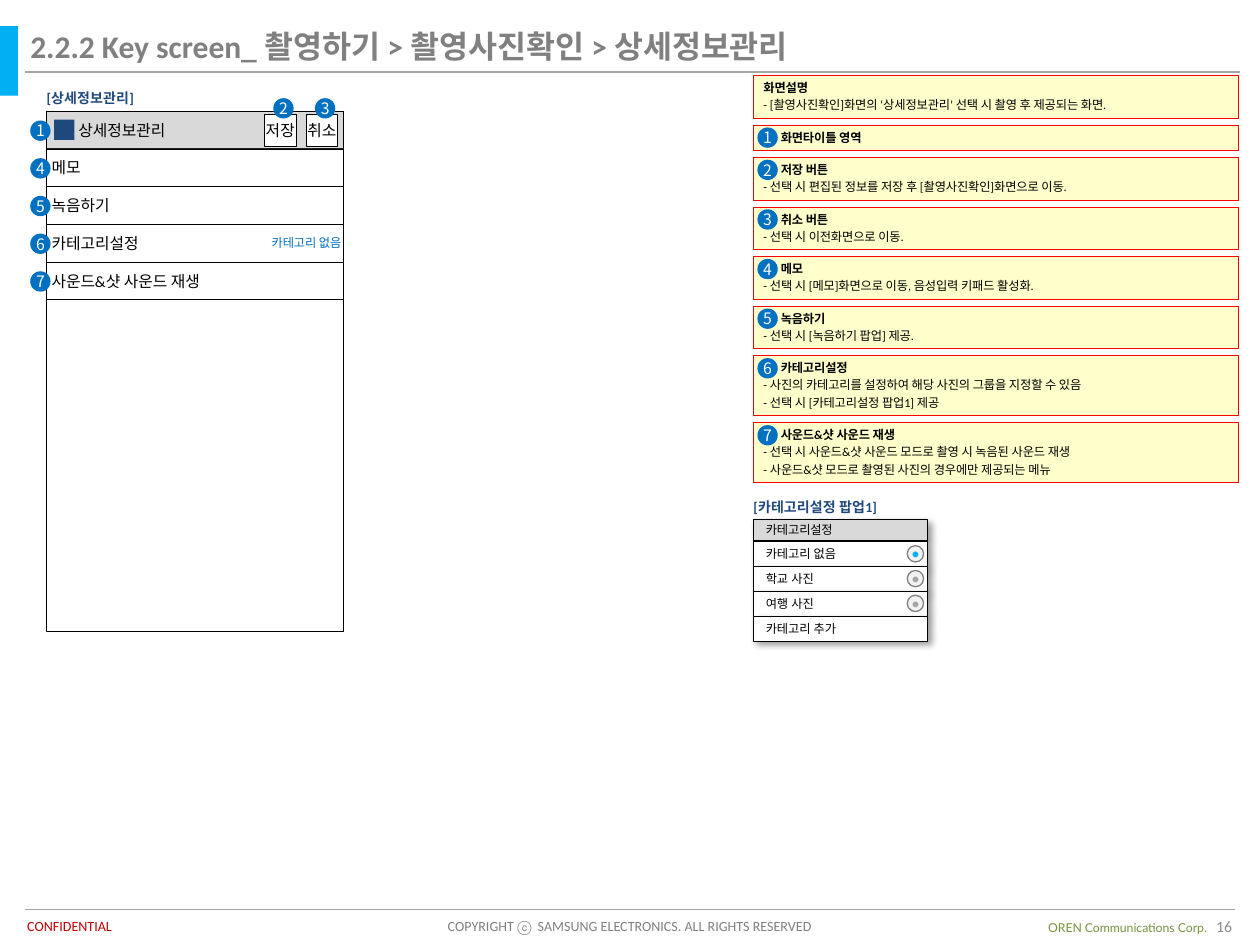
from lxml import etree
from pptx import Presentation
from pptx.dml.color import RGBColor
from pptx.enum.lang import MSO_LANGUAGE_ID
from pptx.enum.shapes import MSO_CONNECTOR, MSO_SHAPE
from pptx.enum.text import MSO_ANCHOR, MSO_AUTO_SIZE, PP_ALIGN
from pptx.oxml import parse_xml
from pptx.oxml.ns import qn
from pptx.util import Cm, Pt

RECT, OVAL = MSO_SHAPE.RECTANGLE, MSO_SHAPE.OVAL
LEFT, CENTER, RIGHT = PP_ALIGN.LEFT, PP_ALIGN.CENTER, PP_ALIGN.RIGHT
TOP, MIDDLE = MSO_ANCHOR.TOP, MSO_ANCHOR.MIDDLE
KOREAN = MSO_LANGUAGE_ID.KOREAN


class Theme:
    black, white, gray, rule = "000000", "FFFFFF", "808080", "A6A6A6"
    navy, blue, sky = "1F497D", "0070C0", "00B0F0"
    header, note, radio = "D9D9D9", "FFFFCC", "F2F2F2"
    red, crimson, green, number = "FF0000", "C00000", "77933C", "8C8C8C"
    font, popup_font, footer_font, badge_font = "Calibri", "Arial", "Lato", "Noto Sans CJK KR"
    title, screen, label, small = 18, 9, 8, 7
    hairline, thin = 0.25, 0.75


SHADOW = (
    '<a:effectLst xmlns:a="http://schemas.openxmlformats.org/drawingml/2006/main">'
    '<a:outerShdw blurRad="50800" dist="38100" dir="2700000" algn="tl" rotWithShape="0">'
    '<a:srgbClr val="000000"><a:alpha val="40000"/></a:srgbClr></a:outerShdw></a:effectLst>'
)


def write(tf, text, size=Theme.small, font=Theme.font, color=Theme.black, bold=False,
          align=LEFT, anchor=TOP, inset=(0, 0, 0, 0), indent=0, before=0, wrap=True, add=False):
    """Write one paragraph; inset is left, top, right, bottom in cm."""
    tf.auto_size = MSO_AUTO_SIZE.NONE
    tf.word_wrap, tf.vertical_anchor = wrap, anchor
    tf.margin_left, tf.margin_top, tf.margin_right, tf.margin_bottom = map(Cm, inset)
    p = tf.add_paragraph() if add else tf.paragraphs[0]
    p.alignment, p.space_before = align, Pt(before)
    if indent:
        p._p.get_or_add_pPr().set("indent", str(Cm(indent)))
    r = p.add_run()
    r.text = text
    r.font.size, r.font.bold, r.font.name = Pt(size), bold, font
    r.font.color.rgb = RGBColor.from_string(color)
    r.font.language_id = KOREAN
    etree.SubElement(r._r.get_or_add_rPr(), qn("a:ea")).set("typeface", font)


def draw(kind, x, y, w, h, fill=None, line=None, width=Theme.hairline):
    """Add a preset shape, measured in cm."""
    sp = s.shapes.add_shape(kind, Cm(x), Cm(y), Cm(w), Cm(h))
    sp.shadow.inherit = False
    if fill:
        sp.fill.solid()
        sp.fill.fore_color.rgb = RGBColor.from_string(fill)
    else:
        sp.fill.background()
    if line:
        sp.line.color.rgb = RGBColor.from_string(line)
        sp.line.width = Pt(width)
    else:
        sp.line.fill.background()
    return sp


prs = Presentation()
prs.slide_width, prs.slide_height = Cm(25.4), Cm(19.05)
s = prs.slides.add_slide(prs.slide_layouts[5])

# Title, accent bar and rules
title = s.shapes.title
title.left, title.top, title.width, title.height = Cm(0.36), Cm(0.41), Cm(24.54), Cm(0.94)
write(title.text_frame, "2.2.2 Key screen_ 촬영하기 > 촬영사진확인 > 상세정보관리",
      size=Theme.title, color=Theme.gray, bold=True, inset=(0.25, 0.13, 0.25, 0.13))
draw(RECT, 0, 0.53, 0.36, 1.4, Theme.sky)
for y, end in ((1.45, 25), (18.34, 24.9)):
    rule = s.shapes.add_connector(MSO_CONNECTOR.STRAIGHT, Cm(0.51), Cm(y), Cm(end), Cm(y))
    rule.line.color.rgb = RGBColor.from_string(Theme.rule)
    rule.line.width = Pt(Theme.thin)
    etree.SubElement(rule._element.spPr, qn("a:effectLst"))

# Footer and section labels
pad = (0.25, 0.13, 0.25, 0.13)
texts = [
    (0.3, 18.36, 2.5, 0.61, "CONFIDENTIAL",
     dict(size=Theme.label, color=Theme.crimson, inset=pad)),
    (6.1, 18.36, 13.2, 0.61, "COPYRIGHT ⓒ  SAMSUNG ELECTRONICS. ALL RIGHTS RESERVED",
     dict(size=Theme.label, color=Theme.gray, align=CENTER, inset=pad)),
    (20.88, 18.42, 3.9, 0.56, "OREN Communications Corp.",
     dict(font=Theme.footer_font, color=Theme.green, anchor=MIDDLE, inset=pad)),
    (23.29, 18.44, 1.8, 0.48, "16",
     dict(size=Theme.screen, color=Theme.number, align=RIGHT, anchor=MIDDLE, inset=pad)),
    (0.94, 1.8, 3, 0.33, "[상세정보관리]",
     dict(size=Theme.label, color=Theme.navy, bold=True)),
    (15.19, 10.06, 4, 0.33, "[카테고리설정 팝업1]",
     dict(size=Theme.label, color=Theme.navy, bold=True)),
]
for x, y, w, h, text, style in texts:
    write(s.shapes.add_textbox(Cm(x), Cm(y), Cm(w), Cm(h)).text_frame, text, **style)

# Phone screen: header and menu rows
badges = []
phone_x, phone_y, phone_w, row_h = 0.94, 2.24, 5.99, 0.76
draw(RECT, phone_x, phone_y, phone_w, 10.49, line=Theme.black)
rows = [(1, "상세정보관리"), (4, "메모"), (5, "녹음하기"), (6, "카테고리설정"),
        (7, "사운드&샷 사운드 재생")]
for i, (number, text) in enumerate(rows):
    y = phone_y + i * row_h
    sp = draw(RECT, phone_x, y, phone_w, row_h, Theme.white if i else Theme.header, Theme.black)
    write(sp.text_frame, text, size=Theme.screen, anchor=MIDDLE,
          inset=(0.1 if i else 0.64, 0, 0.1, 0))
    badges.append((number, 0.61, y + 0.19))
draw(RECT, 1.09, 2.41, 0.41, 0.41, Theme.navy)
for number, x, text in ((2, 5.33, "저장"), (3, 6.17, "취소")):
    sp = draw(RECT, x, 2.31, 0.64, 0.64, Theme.white, Theme.black)
    write(sp.text_frame, text, size=Theme.screen, align=CENTER, anchor=MIDDLE, wrap=False)
    badges.append((number, x + 0.18, 1.98))
category = s.shapes.add_textbox(Cm(4.88), Cm(4.75), Cm(2), Cm(0.3))
write(category.text_frame, "카테고리 없음", color=Theme.blue, align=RIGHT)

# Description notes, stacked with equal gaps
notes = [
    ("화면설명", "- [촬영사진확인]화면의 ‘상세정보관리’ 선택 시 촬영 후 제공되는 화면."),
    ("화면타이틀 영역",),
    ("저장 버튼", "- 선택 시 편집된 정보를 저장 후 [촬영사진확인]화면으로 이동."),
    ("취소 버튼", "- 선택 시 이전화면으로 이동."),
    ("메모", "- 선택 시 [메모]화면으로 이동, 음성입력 키패드 활성화."),
    ("녹음하기", "- 선택 시 [녹음하기 팝업] 제공."),
    ("카테고리설정", "- 사진의 카테고리를 설정하여 해당 사진의 그룹을 지정할 수 있음",
     "- 선택 시 [카테고리설정 팝업1] 제공"),
    ("사운드&샷 사운드 재생", "- 선택 시 사운드&샷 사운드 모드로 촬영 시 녹음된 사운드 재생",
     "- 사운드&샷 모드로 촬영된 사진의 경우에만 제공되는 메뉴"),
]
y = 1.52
for number, lines in enumerate(notes):
    h = 0.16 + 0.35 * len(lines)
    sp = draw(RECT, 15.19, y, 9.78, h, Theme.note, Theme.red)
    for i, text in enumerate(lines):
        write(sp.text_frame, text, bold=i == 0, inset=(0.2, 0.1, 0.1, 0.1), add=i > 0,
              indent=0.35 if number and i == 0 else 0, before=1.4 if i else 0)
    if number:
        badges.append((number, 15.27, y + 0.05))
    y += h + 0.14

# Category popup with radio buttons
popup = [("카테고리설정", None), ("카테고리 없음", Theme.sky), ("학교 사진", Theme.rule),
         ("여행 사진", Theme.rule), ("카테고리 추가", None)]
for i, (text, dot) in enumerate(popup):
    y = 10.42 + 0.5 * i if i else 10.46
    sp = draw(RECT, 15.19, y, 3.51, 0.5 if i else 0.44,
              Theme.white if i else Theme.header, Theme.black)
    sp._element.spPr.replace(sp._element.spPr.find(qn("a:effectLst")), parse_xml(SHADOW))
    write(sp.text_frame, text, font=Theme.popup_font, anchor=MIDDLE,
          inset=(0.25, 0.05, 0.25, 0.05))
    if dot:
        radio = draw(OVAL, 18.29, y + 0.08, 0.33, 0.33, Theme.radio, Theme.gray, Theme.thin)
        write(radio.text_frame, "●", color=dot, bold=True, align=CENTER, anchor=MIDDLE, wrap=False)

# Numbered badges on top
for number, x, y in badges:
    sp = draw(OVAL, x, y, 0.41, 0.41, Theme.blue)
    write(sp.text_frame, str(number), size=Theme.screen, font=Theme.badge_font,
          color=Theme.white, align=CENTER, anchor=MIDDLE, wrap=False)

prs.save("out.pptx")
